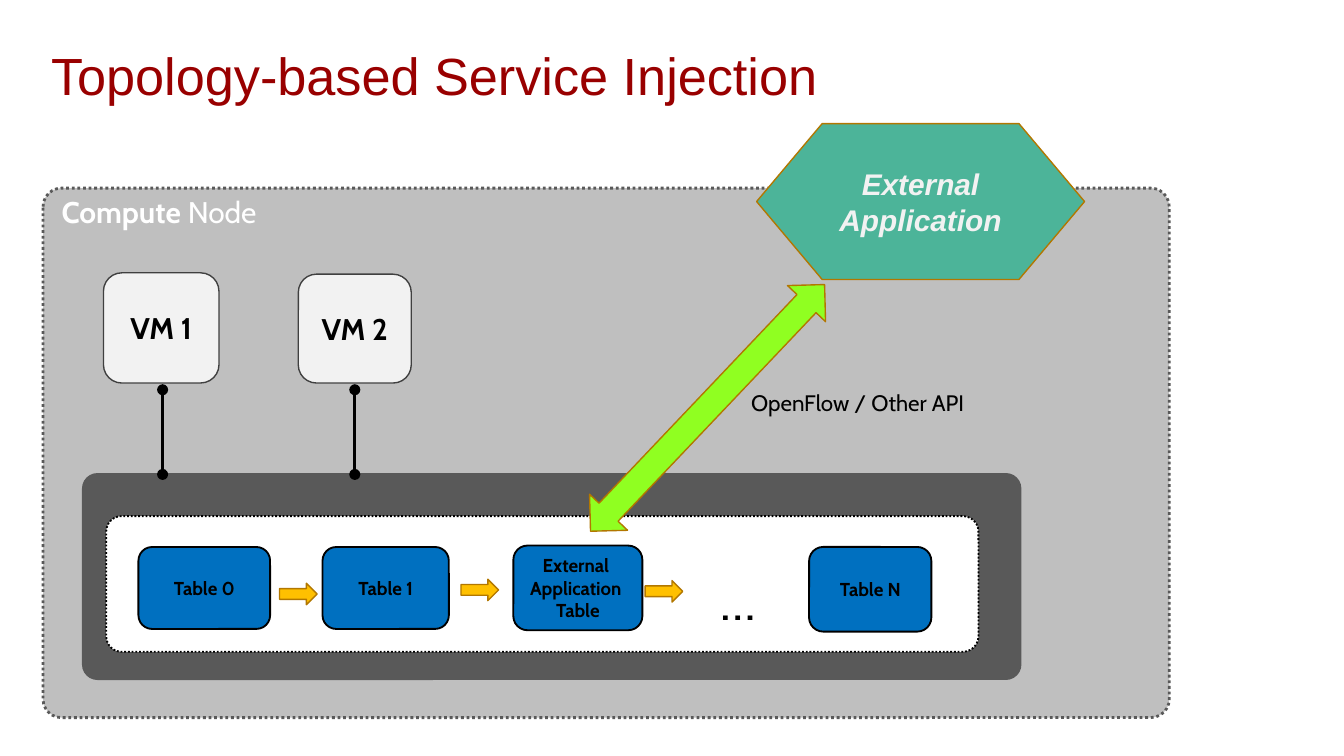
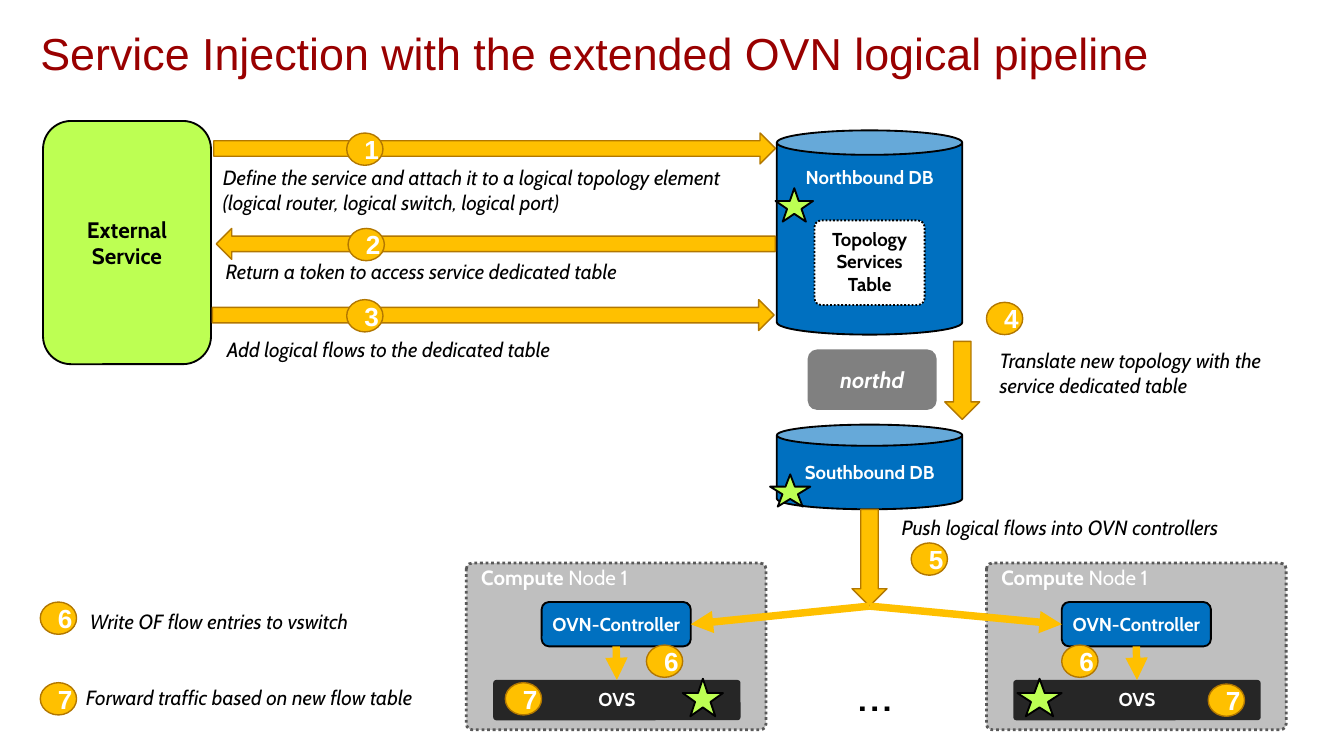
from lxml.etree import SubElement
from pptx import Presentation
from pptx.dml.color import RGBColor
from pptx.enum.dml import MSO_LINE
from pptx.enum.shapes import MSO_CONNECTOR, MSO_SHAPE as S
from pptx.enum.text import MSO_ANCHOR, MSO_AUTO_SIZE, PP_ALIGN
from pptx.oxml.ns import qn
from pptx.util import Inches, Pt

COLORS = {
    "title": "990000", "white": "FFFFFF", "black": "000000",
    "node": "BFBFBF", "node_edge": "595959", "vm": "F2F2F2", "vm_edge": "404040",
    "blue": "0070C0", "amber": "FFC000", "amber_edge": "B27700",
    "teal": "4CB499", "green": "90FF21", "lime": "BDFF53",
    "daemon": "808080", "switch": "262626",
}
BODY, HEAD = "Cabin", "Arial"
STANDARD = (0.1, 0.05, 0.1, 0.05)
TIGHT = (0, 0, 0, 0)

# Topology slide: boxes are left, top, width, height in inches
VMS = [("VM 1", (0.77, 2.03, 0.86, 0.82), 1.21), ("VM 2", (2.22, 2.04, 0.84, 0.81), 2.64)]
TABLES = [
    (["Table 0"], (1.03, 4.07, 0.98, 0.61)),
    (["Table 1"], (2.4, 4.07, 0.94, 0.61)),
    (["External ", "Application ", "Table"], (3.82, 4.06, 0.96, 0.63)),
    (["Table N"], (6.02, 4.07, 0.91, 0.63)),
]
TABLE_ARROWS = [(2.08, 4.34), (3.43, 4.31), (4.8, 4.32)]

# Pipeline slide
FLOW_ARROWS = [
    (S.RIGHT_ARROW, (1.59, 0.99, 4.18, 0.23)),
    (S.LEFT_ARROW, (1.61, 1.7, 4.16, 0.23)),
    (S.RIGHT_ARROW, (1.58, 2.23, 4.18, 0.23)),
    (S.DOWN_ARROW, (7.03, 2.54, 0.26, 0.58)),
    (S.DOWN_ARROW, (6.34, 3.79, 0.26, 0.72)),
]
STEPS = [
    ("Define the service and attach it to a logical topology element "
     "(logical router, logical switch, logical port)", (1.56, 1.18, 3.93, 0.47)),
    ("Return a token to access service dedicated table", (1.58, 1.88, 3.91, 0.29)),
    ("Add logical flows to the dedicated table", (1.59, 2.46, 3.3, 0.29)),
    ("Translate new topology with the service dedicated table", (7.34, 2.54, 2.16, 0.47)),
    ("Push logical flows into OVN controllers", (6.61, 3.78, 3.04, 0.29)),
    ("Write OF flow entries to vswitch", (0.57, 4.48, 2.8, 0.29)),
    ("Forward traffic based on new flow table", (0.54, 5.05, 2.87, 0.29)),
]
BADGES = [
    ("1", 2.58, 0.99), ("2", 2.59, 1.7), ("3", 2.58, 2.23), ("4", 7.34, 2.25),
    ("5", 6.78, 4.04), ("6", 0.3, 4.48), ("7", 0.3, 5.08),
    ("6", 4.81, 4.8), ("6", 7.9, 4.8), ("7", 3.76, 5.08), ("7", 8.99, 5.09),
]
STARS = [(5.77, 1.4, 0.28, 0.25), (5.73, 3.53, 0.3, 0.24),
         (7.57, 5.05, 0.33, 0.28), (5.08, 5.05, 0.3, 0.28)]
NODE_LEFTS = [3.47, 7.34]
HUB = (6.47, 4.51)


def rgb(name):
    return RGBColor.from_string(COLORS[name])


def inches(values):
    return [Inches(v) for v in values]


def write(frame, lines, size, color="black", font=BODY, bold=False, italic=False,
          align=PP_ALIGN.CENTER, anchor=MSO_ANCHOR.MIDDLE, insets=STANDARD, wrap=False):
    """Fill a text frame; a line is a string or a list of (text, bold) runs."""
    frame.word_wrap = wrap
    frame.vertical_anchor = anchor
    (frame.margin_left, frame.margin_top,
     frame.margin_right, frame.margin_bottom) = inches(insets)
    for number, line in enumerate(lines):
        paragraph = frame.add_paragraph() if number else frame.paragraphs[0]
        paragraph.alignment = align
        for text, heavy in [(line, bold)] if isinstance(line, str) else line:
            run = paragraph.add_run()
            run.text = text
            run.font.name, run.font.size = font, Pt(size)
            run.font.bold, run.font.italic = heavy, italic
            run.font.color.rgb = rgb(color)


def draw(slide, kind, box, fill, edge=None, width=1, dotted=False, adj=None):
    shape = slide.shapes.add_shape(kind, *inches(box))
    shape.shadow.inherit = False
    shape.fill.solid()
    shape.fill.fore_color.rgb = rgb(fill)
    if edge:
        shape.line.color.rgb = rgb(edge)
        shape.line.width = Pt(width)
        if dotted:
            shape.line.dash_style = MSO_LINE.ROUND_DOT
    else:
        shape.line.fill.background()
    if adj is not None:
        shape.adjustments[0] = adj
    return shape


def draw_amber(slide, kind, box):
    return draw(slide, kind, box, "amber", "amber_edge", 0.75)


def label(slide, text, box, size, italic=False, align=PP_ALIGN.LEFT):
    frame = slide.shapes.add_textbox(*inches(box)).text_frame
    write(frame, [text], size, italic=italic, align=align, anchor=MSO_ANCHOR.TOP, wrap=True)
    frame.auto_size = MSO_AUTO_SIZE.SHAPE_TO_FIT_TEXT


def connect(slide, start, end, color, width, head=None, tail=None):
    link = slide.shapes.add_connector(MSO_CONNECTOR.STRAIGHT, *inches(start + end))
    link.line.color.rgb = rgb(color)
    link.line.width = Pt(width)
    properties = link.element.spPr
    outline = properties.find(qn("a:ln"))
    for tag, kind in (("a:headEnd", head), ("a:tailEnd", tail)):
        if kind:
            SubElement(outline, qn(tag), type=kind)
    SubElement(properties, qn("a:effectLst"))
    return link


def add_slide(deck, title, box, size):
    slide = deck.slides.add_slide(deck.slide_layouts[5])
    heading = slide.shapes.title
    heading.left, heading.top, heading.width, heading.height = inches(box)
    write(heading.text_frame, [title], size, "title", HEAD, align=PP_ALIGN.LEFT,
          anchor=MSO_ANCHOR.TOP, wrap=True)
    return slide


def compute_node(slide, box, name, size):
    node = draw(slide, S.ROUNDED_RECTANGLE, box, "node", "node_edge", 1.5, True, 0.035)
    write(node.text_frame, [[("Compute", True), (name, False)]], size, "white",
          align=PP_ALIGN.LEFT, anchor=MSO_ANCHOR.TOP, insets=(0.1, 0, 0.1, 0))


def build_topology(deck):
    slide = add_slide(deck, "Topology-based Service Injection", (0.28, 0.27, 9.45, 0.71), 28)
    compute_node(slide, (0.32, 1.4, 8.38, 3.94), " Node", 16)
    draw(slide, S.ROUNDED_RECTANGLE, (0.61, 3.52, 6.99, 1.54), "node_edge", adj=0.075)
    draw(slide, S.ROUNDED_RECTANGLE, (0.79, 3.84, 6.49, 1.01), "white", "black", 1, True, 0.114)

    for name, box, port in VMS:
        vm = draw(slide, S.ROUNDED_RECTANGLE, box, "vm", "vm_edge", 0.75)
        write(vm.text_frame, [name], 16, bold=True)
        connect(slide, (port, 3.53), (port, 2.9), "black", 1.5, "oval", "oval")
    for lines, box in TABLES:
        table = draw(slide, S.ROUNDED_RECTANGLE, box, "blue", "black")
        write(table.text_frame, lines, 10, bold=True, insets=TIGHT)
    for left, top in TABLE_ARROWS:
        draw_amber(slide, S.RIGHT_ARROW, (left, top, 0.28, 0.16))
    label(slide, "…", (5.26, 4.18, 0.63, 0.57), 28)

    application = draw(slide, S.FLOWCHART_PREPARATION, (5.63, 0.92, 2.44, 1.16),
                       "teal", "amber_edge", 0.75)
    write(application.text_frame, ["External Application"], 16, "vm", HEAD,
          bold=True, italic=True, wrap=True)
    api = draw(slide, S.LEFT_RIGHT_ARROW, (4, 2.84, 2.53, 0.39), "green", "amber_edge", 0.75)
    api.rotation = 313.5
    label(slide, "OpenFlow / Other API", (5.49, 2.85, 1.98, 0.3), 12)


def controller_node(slide, left):
    """Draw a compute node and return its controller."""
    compute_node(slide, (left, 4.19, 2.23, 1.24), " Node 1", 11)
    switch = draw(slide, S.ROUNDED_RECTANGLE, (left + 0.2, 5.06, 1.84, 0.3), "switch", adj=0.075)
    write(switch.text_frame, ["OVS"], 10, "white", bold=True, anchor=MSO_ANCHOR.TOP)
    controller = draw(slide, S.ROUNDED_RECTANGLE, (left + 0.56, 4.48, 1.11, 0.33), "blue", "black")
    write(controller.text_frame, ["OVN-Controller"], 10, "white", bold=True, insets=TIGHT)
    middle = left + 1.12
    link = connect(slide, (middle, 4.81), (middle, 5.06), "amber", 4, tail="triangle")
    link.begin_connect(controller, 2)
    link.end_connect(switch, 0)
    return controller


def build_pipeline(deck):
    slide = add_slide(deck, "Service Injection with the extended OVN logical pipeline",
                      (0.2, 0.14, 9.61, 0.64), 24)
    northbound = draw(slide, S.CAN, (5.78, 0.97, 1.38, 1.52), "blue", "black", adj=0.132)
    write(northbound.text_frame, ["Northbound DB"], 10, "white", bold=True,
          anchor=MSO_ANCHOR.TOP, insets=(0, 0.08, 0, 0))
    services = draw(slide, S.ROUNDED_RECTANGLE, (6.06, 1.64, 0.82, 0.63),
                    "white", "black", 1, True, 0.079)
    write(services.text_frame, ["Topology", "Services", "Table"], 10, bold=True,
          anchor=MSO_ANCHOR.TOP, insets=(0.1, 0.04, 0.1, 0.05))
    northd = draw(slide, S.ROUNDED_RECTANGLE, (6.01, 2.6, 0.96, 0.45), "daemon", adj=0.155)
    write(northd.text_frame, ["northd"], 12, "white", bold=True, italic=True)
    southbound = draw(slide, S.CAN, (5.78, 3.16, 1.38, 0.63), "blue", "black")
    write(southbound.text_frame, ["Southbound DB"], 10, "white", bold=True, insets=TIGHT)
    external = draw(slide, S.ROUNDED_RECTANGLE, (0.32, 0.9, 1.25, 1.81), "lime", "black")
    write(external.text_frame, ["External", "Service"], 12, bold=True, insets=TIGHT)

    controllers = [controller_node(slide, left) for left in NODE_LEFTS]
    label(slide, "…", (6.2, 4.86, 0.63, 0.57), 28, align=PP_ALIGN.CENTER)
    for kind, box in FLOW_ARROWS:
        draw_amber(slide, kind, box)
    for controller, end, side in zip(controllers, [(5.14, 4.65), (7.9, 4.65)], [3, 1]):
        connect(slide, HUB, end, "amber", 4, tail="triangle").end_connect(controller, side)

    for text, box in STEPS:
        label(slide, text, box, 11, italic=True)
    for number, left, top in BADGES:
        badge = draw_amber(slide, S.OVAL, (left, top, 0.27, 0.24))
        write(badge.text_frame, [number], 14, "white", HEAD, bold=True, wrap=True)
    for box in STARS:
        draw(slide, S.STAR_5_POINT, box, "lime", "black")


def main():
    deck = Presentation()
    deck.slide_width = Inches(10)
    deck.slide_height = Inches(10 * 9 / 16)
    build_topology(deck)
    build_pipeline(deck)
    deck.save("out.pptx")


if __name__ == "__main__":
    main()
